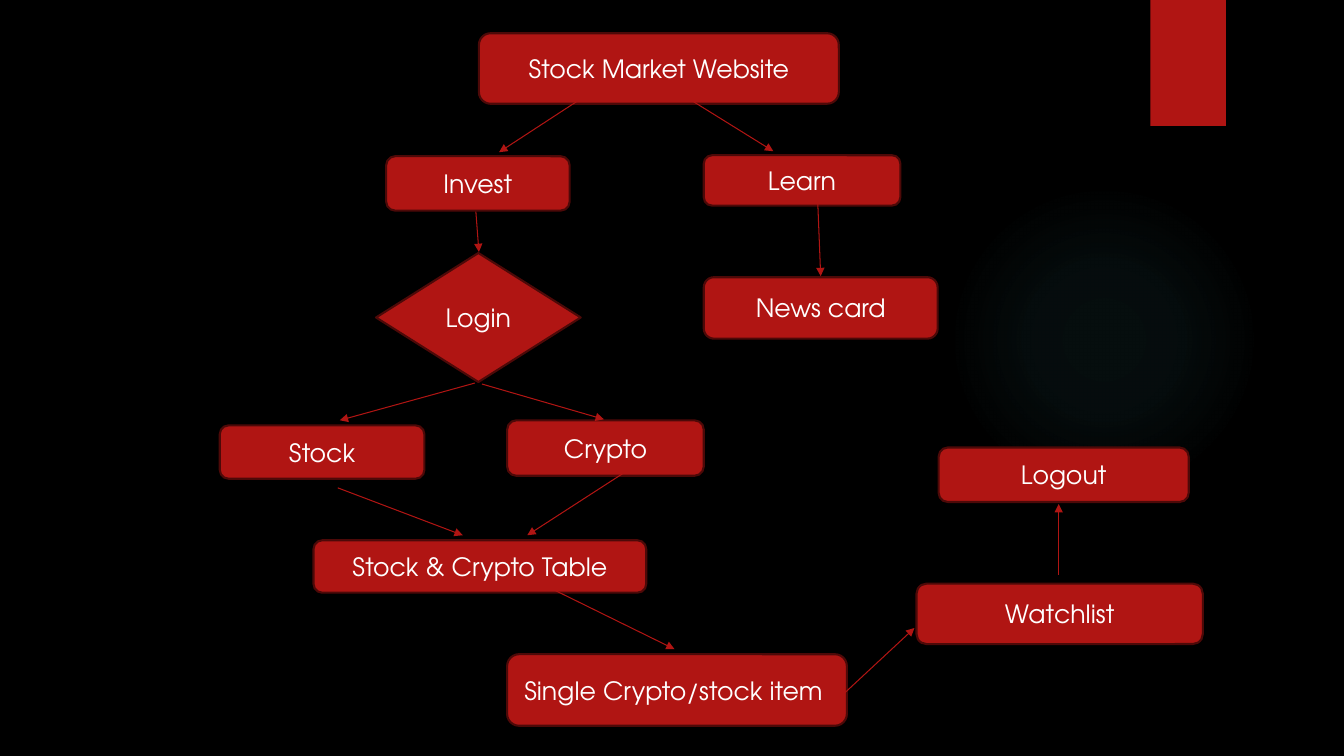
from pptx import Presentation
from pptx.dml.color import RGBColor
from pptx.enum.shapes import MSO_CONNECTOR, MSO_SHAPE
from pptx.enum.text import MSO_ANCHOR, PP_ALIGN
from pptx.oxml import parse_xml
from pptx.oxml.ns import nsdecls, qn
from pptx.util import Inches, Pt

COLORS = {"back": "000000", "red": "B01513", "edge": "4D0908",
          "text": "FFFFFF", "glow": "50B9C1"}
FONT = "TeX Gyre Adventor"

BOXES = [
    ("Stock Market Website", 4.75, 0.33, 3.57, 0.7),
    ("Invest", 3.83, 1.55, 1.82, 0.54),
    ("Learn", 6.98, 1.54, 1.95, 0.5),
    ("News card", 6.98, 2.75, 2.32, 0.61),
    ("Stock", 2.18, 4.22, 2.03, 0.53),
    ("Crypto", 5.03, 4.17, 1.95, 0.55),
    ("Stock & Crypto Table", 3.11, 5.36, 3.3, 0.52),
    ("Single Crypto/stock item ", 5.03, 6.49, 3.37, 0.71),
    ("Watchlist", 9.09, 5.79, 2.84, 0.6),
    ("Logout", 9.31, 4.44, 2.48, 0.54),
]
CHOICE = ("Login", 3.73, 2.51, 2.03, 1.28)

ARROWS = [
    (5.9, 0.89, 4.95, 1.51),
    (6.88, 1.01, 7.67, 1.5),
    (4.72, 2.1, 4.75, 2.5),
    (4.71, 3.8, 3.37, 4.17),
    (4.78, 3.81, 5.99, 4.16),
    (6.19, 4.69, 5.23, 5.31),
    (3.35, 4.84, 4.59, 5.31),
    (8.11, 1.99, 8.14, 2.74),
    (5.47, 5.84, 6.69, 6.44),
    (8.35, 6.9, 9.07, 6.23),
    (10.5, 5.7, 10.5, 5),
]


def color(name):
    return RGBColor.from_string(COLORS[name])


def make(tag, inner="", **attrs):
    pairs = " ".join(f'{key}="{val}"' for key, val in attrs.items())
    return parse_xml(f'<a:{tag} {nsdecls("a")} {pairs}>{inner}</a:{tag}>')


def add_shape(slide, kind, *place):
    shape = slide.shapes.add_shape(kind, *map(Inches, place))
    shape.shadow.inherit = False
    shape.fill.solid()
    shape.fill.fore_color.rgb = color("red")
    shape.line.fill.background()
    return shape


def add_glow(slide):
    glow = add_shape(slide, MSO_SHAPE.OVAL, 9.41, 1.83, 3.08, 3.08)
    stops = "".join(
        f'<a:gs pos="{pos * 1000}"><a:srgbClr val="{COLORS["glow"]}">'
        f'<a:alpha val="{alpha * 1000}"/></a:srgbClr></a:gs>'
        for pos, alpha in ((0, 7), (36, 6), (69, 0)))
    focus = '<a:fillToRect l="50000" t="50000" r="50000" b="50000"/>'
    fill = make("gradFill", f'<a:gsLst>{stops}</a:gsLst>'
                f'<a:path path="circle">{focus}</a:path>')
    props = glow._element.spPr
    props.replace(props.find(qn("a:solidFill")), fill)


def add_tab(slide):
    tab = add_shape(slide, MSO_SHAPE.RECTANGLE, 11.41, 0, 0.75, 1.25)
    tint = (f'<a:srgbClr val="{COLORS["back"]}">'
            '<a:alpha val="45000"/></a:srgbClr>')
    shade = make("outerShdw", tint, blurRad=Pt(3), dist=Pt(2), dir=5400000)
    tab._element.spPr.find(qn("a:effectLst")).append(shade)


def add_node(slide, kind, text, *place):
    node = add_shape(slide, kind, *place)
    node.line.color.rgb = color("edge")
    node.line.width = Pt(1.5)
    frame = node.text_frame
    frame.word_wrap = True
    frame.vertical_anchor = MSO_ANCHOR.MIDDLE
    para = frame.paragraphs[0]
    para.alignment = PP_ALIGN.CENTER
    run = para.add_run()
    run.text = text
    run.font.name = FONT
    run.font.size = Pt(18)
    run.font.color.rgb = color("text")


def add_arrow(slide, *ends):
    arrow = slide.shapes.add_connector(MSO_CONNECTOR.STRAIGHT,
                                       *map(Inches, ends))
    arrow.line.color.rgb = color("red")
    arrow.line.width = Pt(0.75)
    props = arrow._element.spPr
    props.find(qn("a:ln")).append(make("tailEnd", type="triangle"))
    props.append(make("effectLst"))


def main():
    deck = Presentation()
    deck.slide_width = Inches(13.33)
    deck.slide_height = Inches(7.5)
    slide = deck.slides.add_slide(deck.slide_layouts[6])
    slide.background.fill.solid()
    slide.background.fill.fore_color.rgb = color("back")
    add_glow(slide)
    add_tab(slide)
    for box in BOXES:
        add_node(slide, MSO_SHAPE.ROUNDED_RECTANGLE, *box)
    add_node(slide, MSO_SHAPE.DIAMOND, *CHOICE)
    for ends in ARROWS:
        add_arrow(slide, *ends)
    deck.save("out.pptx")


if __name__ == "__main__":
    main()
